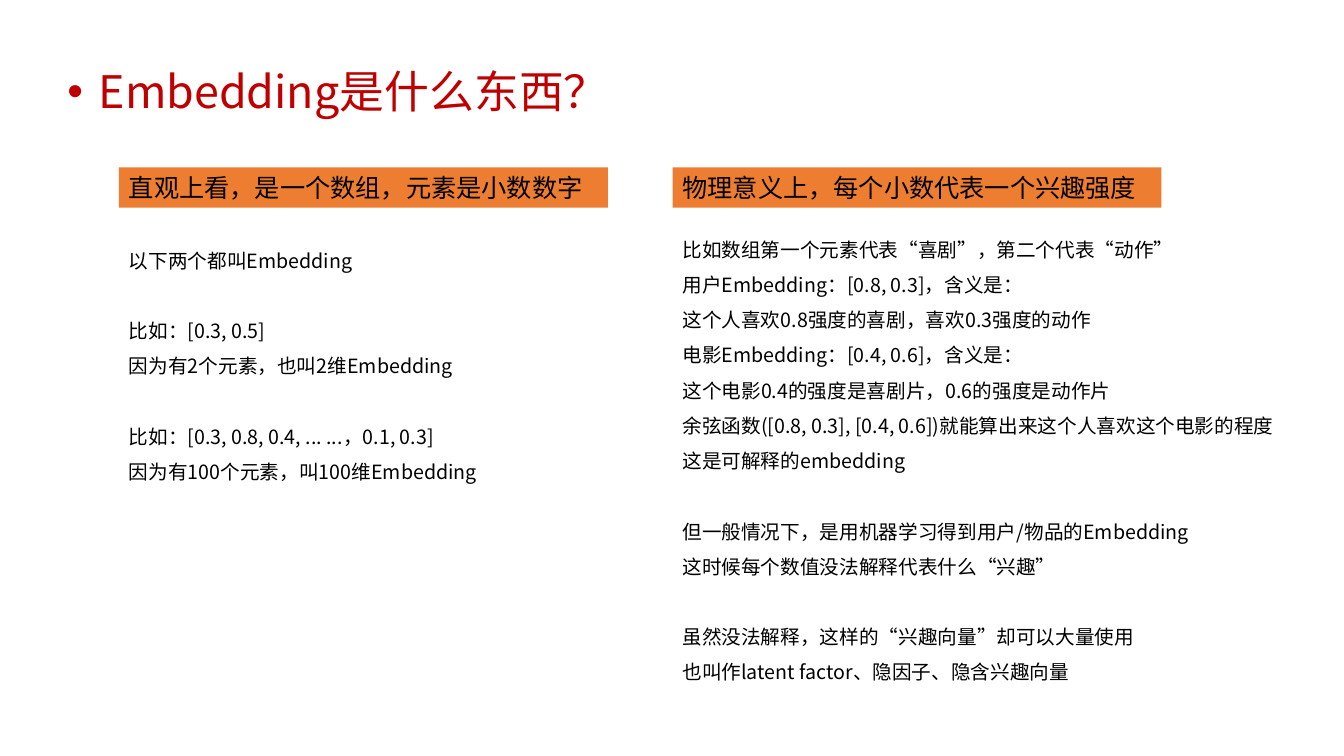
from dataclasses import dataclass

from lxml import etree
from pptx import Presentation
from pptx.dml.color import RGBColor
from pptx.enum.shapes import MSO_SHAPE
from pptx.enum.text import MSO_ANCHOR, MSO_AUTO_SIZE, PP_ALIGN
from pptx.oxml.ns import qn
from pptx.util import Inches, Pt

RECTANGLE = MSO_SHAPE.RECTANGLE
TOP, MIDDLE = MSO_ANCHOR.TOP, MSO_ANCHOR.MIDDLE
GROW = MSO_AUTO_SIZE.SHAPE_TO_FIT_TEXT
LEFT = PP_ALIGN.LEFT


@dataclass(frozen=True)
class Theme:
    title_color: RGBColor = RGBColor(0xC0, 0x00, 0x00)
    text_color: RGBColor = RGBColor(0x00, 0x00, 0x00)
    header_fill: RGBColor = RGBColor(0xED, 0x7D, 0x31)
    title_size: int = 32
    header_size: int = 18
    body_size: int = 14
    group_gap: int = 25
    line_spacing: float = 1.5
    chinese_font: str = "Noto Sans CJK SC"
    header_font: str = "Calibri"


def write_paragraph(paragraph, text, *, size, color, font, east_asian_font,
                    line_spacing=1.0, space_before=0):
    paragraph.alignment = LEFT
    paragraph.line_spacing = line_spacing
    paragraph.space_before = Pt(space_before)
    run = paragraph.add_run()
    run.text = text
    run.font.size = Pt(size)
    run.font.color.rgb = color
    run.font.name = font
    east_asian = etree.SubElement(run.font._element, qn("a:ea"))
    east_asian.set("typeface", east_asian_font)


def add_bullet(paragraph, indent):
    properties = paragraph._p.get_or_add_pPr()
    properties.set("marL", str(indent))
    properties.set("indent", str(-indent))
    etree.SubElement(properties, qn("a:buFont")).set("typeface", "Arial")
    etree.SubElement(properties, qn("a:buChar")).set("char", "•")


class SlideBuilder:
    def __init__(self, slide, theme):
        self.slide = slide
        self.theme = theme

    def text_frame(self, left, top, width, height):
        box = self.slide.shapes.add_textbox(
            Inches(left), Inches(top), Inches(width), Inches(height))
        frame = box.text_frame
        frame.word_wrap = True
        frame.auto_size = GROW
        frame.vertical_anchor = TOP
        return frame

    def title(self, text, left, top, width, height):
        theme = self.theme
        paragraph = self.text_frame(left, top, width, height).paragraphs[0]
        write_paragraph(paragraph, text, size=theme.title_size,
                        color=theme.title_color, font=theme.chinese_font,
                        east_asian_font=theme.chinese_font,
                        line_spacing=theme.line_spacing)
        add_bullet(paragraph, Inches(0.31))

    def header(self, text, left, top, width, height):
        theme = self.theme
        shape = self.slide.shapes.add_shape(
            RECTANGLE, Inches(left), Inches(top), Inches(width), Inches(height))
        shape.shadow.inherit = False
        shape.fill.solid()
        shape.fill.fore_color.rgb = theme.header_fill
        shape.line.fill.background()
        frame = shape.text_frame
        frame.word_wrap = True
        frame.auto_size = GROW
        frame.vertical_anchor = MIDDLE
        write_paragraph(frame.paragraphs[0], text, size=theme.header_size,
                        color=theme.text_color, font=theme.header_font,
                        east_asian_font=theme.chinese_font)

    def body(self, groups, left, top, width, height, margin_top=0.05):
        """Write groups of lines, with one line of space between groups."""
        theme = self.theme
        frame = self.text_frame(left, top, width, height)
        frame.margin_top = Inches(margin_top)
        paragraph = frame.paragraphs[0]
        for group_index, lines in enumerate(groups):
            for line_index, line in enumerate(lines):
                starts_group = line_index == 0 and group_index > 0
                if group_index or line_index:
                    paragraph = frame.add_paragraph()
                write_paragraph(paragraph, line, size=theme.body_size,
                                color=theme.text_color, font=theme.chinese_font,
                                east_asian_font=theme.chinese_font,
                                line_spacing=theme.line_spacing,
                                space_before=theme.group_gap if starts_group else 0)


ARRAY_VIEW = [
    ["以下两个都叫Embedding"],
    ["比如：[0.3, 0.5]",
     "因为有2个元素，也叫2维Embedding"],
    ["比如：[0.3, 0.8, 0.4, ... ...，0.1, 0.3]",
     "因为有100个元素，叫100维Embedding"],
]
MEANING_VIEW = [
    ["比如数组第一个元素代表“喜剧”，第二个代表“动作”",
     "用户Embedding：[0.8, 0.3]，含义是：",
     "这个人喜欢0.8强度的喜剧，喜欢0.3强度的动作",
     "电影Embedding：[0.4, 0.6]，含义是：",
     "这个电影0.4的强度是喜剧片，0.6的强度是动作片",
     "余弦函数([0.8, 0.3], [0.4, 0.6])就能算出来这个人喜欢这个电影的程度",
     "这是可解释的embedding"],
    ["但一般情况下，是用机器学习得到用户/物品的Embedding",
     "这时候每个数值没法解释代表什么“兴趣”"],
    ["虽然没法解释，这样的“兴趣向量”却可以大量使用",
     "也叫作latent factor、隐因子、隐含兴趣向量"],
]


def main():
    presentation = Presentation()
    presentation.slide_width = Inches(13.33)
    presentation.slide_height = Inches(7.5)
    slide = presentation.slides.add_slide(presentation.slide_layouts[6])
    builder = SlideBuilder(slide, Theme())

    builder.title("Embedding是什么东西？", 0.57, 0.32, 5.62, 0.91)
    array_left, meaning_left = 1.18, 6.67
    for text, left in (("直观上看，是一个数组，元素是小数数字", array_left),
                       ("物理意义上，每个小数代表一个兴趣强度", meaning_left)):
        builder.header(text, left, 1.66, 4.85, 0.4)
    builder.body(ARRAY_VIEW, array_left, 2.06, 3.7, 2.93, margin_top=0.29)
    builder.body(MEANING_VIEW, meaning_left, 2.19, 6.08, 4.69)

    presentation.save("out.pptx")


if __name__ == "__main__":
    main()
